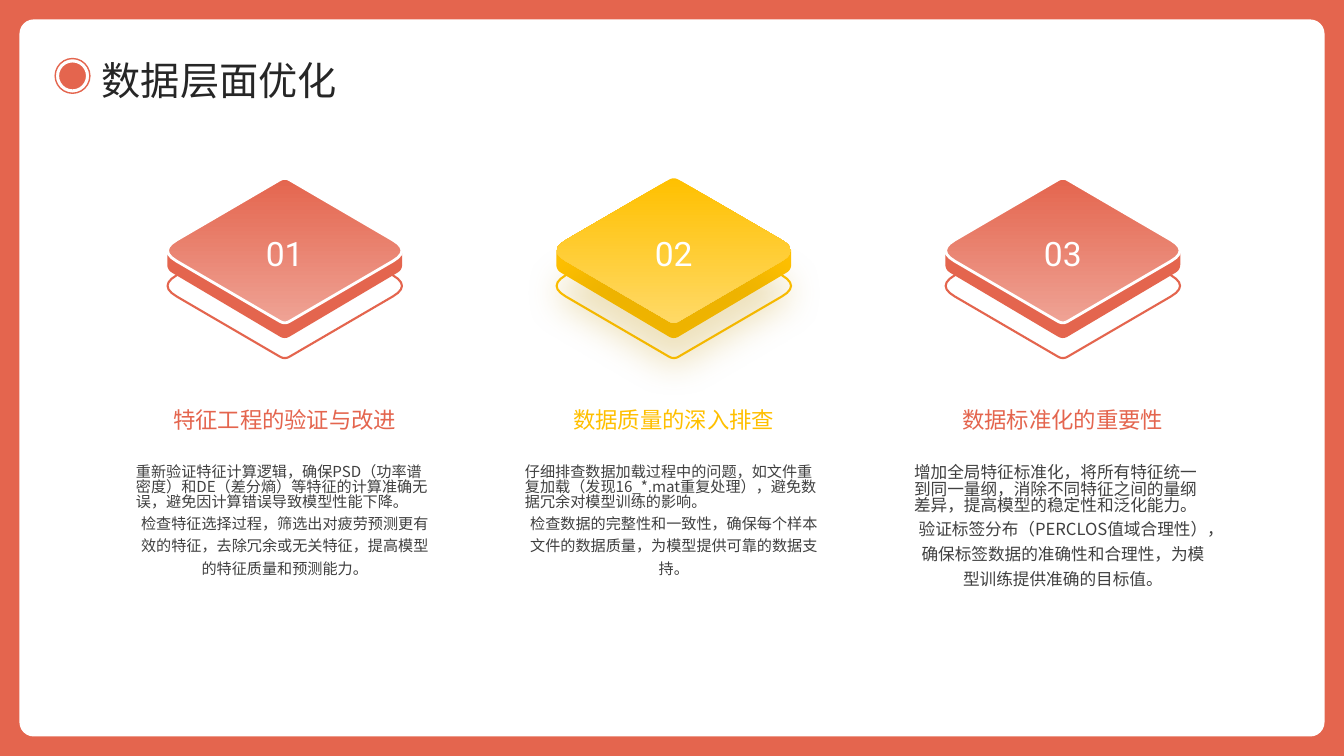
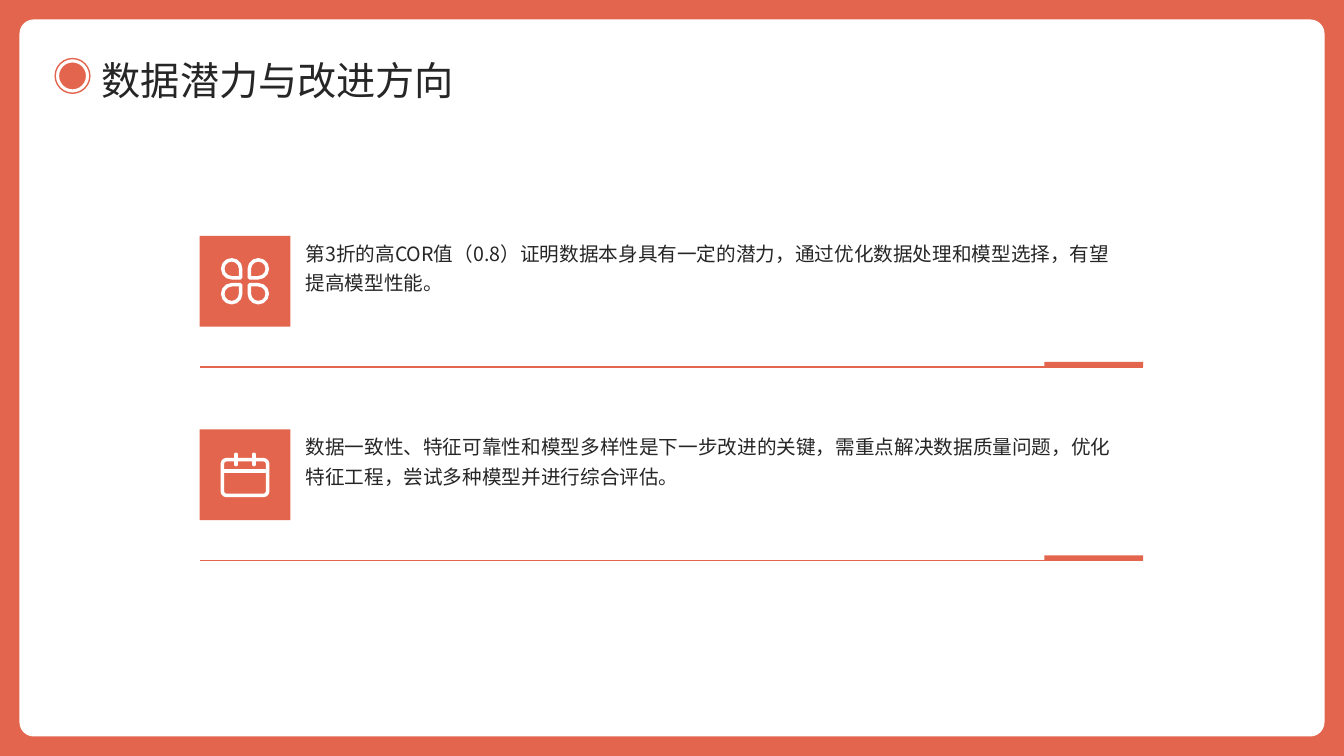
from dataclasses import dataclass

from lxml import etree
from pptx import Presentation
from pptx.dml.color import RGBColor
from pptx.enum.shapes import MSO_CONNECTOR, MSO_SHAPE
from pptx.enum.text import MSO_ANCHOR, MSO_AUTO_SIZE, PP_ALIGN
from pptx.oxml.ns import qn
from pptx.util import Pt

RECT, ROUND, OVAL, TEAR = (
    MSO_SHAPE.RECTANGLE, MSO_SHAPE.ROUNDED_RECTANGLE, MSO_SHAPE.OVAL, MSO_SHAPE.TEAR)
STRAIGHT = MSO_CONNECTOR.STRAIGHT
LEFT, CENTER = PP_ALIGN.LEFT, PP_ALIGN.CENTER
TOP, MIDDLE = MSO_ANCHOR.TOP, MSO_ANCHOR.MIDDLE


@dataclass(frozen=True)
class Theme:
    coral: str = "E4654E"
    coral_light: str = "EFA395"
    gold: str = "FFC000"
    gold_light: str = "FFD966"
    gold_dark: str = "BF9000"
    white: str = "FFFFFF"
    ink: str = "262626"
    body: str = "404040"
    font: str = "Noto Sans CJK SC"
    number_font: str = "Roboto"
    title_size: float = 28
    number_size: float = 24
    heading_size: float = 16
    point_size: float = 14
    body_size: float = 10.8
    body_large: float = 11.9


T = Theme()
WIDTH, HEIGHT, FRAME = 960, 540, 14.4

LAYERS_TITLE = "数据层面优化"
LAYERS = [
    ("01", "特征工程的验证与改进", T.body_size, T.coral, T.coral_light, False,
     "重新验证特征计算逻辑，确保PSD（功率谱密度）和DE（差分熵）等特征的计算准确无误，避免因计算错误导致模型性能下降。",
     "检查特征选择过程，筛选出对疲劳预测更有效的特征，去除冗余或无关特征，提高模型的特征质量和预测能力。"),
    ("02", "数据质量的深入排查", T.body_size, T.gold, T.gold_light, True,
     "仔细排查数据加载过程中的问题，如文件重复加载（发现16_*.mat重复处理），避免数据冗余对模型训练的影响。",
     "检查数据的完整性和一致性，确保每个样本文件的数据质量，为模型提供可靠的数据支持。"),
    ("03", "数据标准化的重要性", T.body_large, T.coral, T.coral_light, False,
     "增加全局特征标准化，将所有特征统一到同一量纲，消除不同特征之间的量纲差异，提高模型的稳定性和泛化能力。",
     "验证标签分布（PERCLOS值域合理性），确保标签数据的准确性和合理性，为模型训练提供准确的目标值。"),
]
OUTLOOK_TITLE = "数据潜力与改进方向"
OUTLOOK = [
    ("clover", "第3折的高COR值（0.8）证明数据本身具有一定的潜力，通过优化数据处理和模型选择，有望提高模型性能。"),
    ("calendar", "数据一致性、特征可靠性和模型多样性是下一步改进的关键，需重点解决数据质量问题，优化特征工程，尝试多种模型并进行综合评估。"),
]

DIAMOND = [(0, -52.6, 4), (90.2, 0, 15), (0, 52.6, 4), (-90.2, 0, 15)]
SLAB = [(0, -42, 4), (71.6, -0.4, 0), (83.9, -0.4, 0), (83.9, 13.8, 4),
        (0, 63.5, 4), (-83.9, 13.8, 4), (-83.9, -0.4, 0), (-71.6, -0.4, 0)]


def rgb(value):
    return RGBColor.from_string(value)


def paint(shape, fill=None, line=None, width=1):
    shape.shadow.inherit = False
    if fill:
        shape.fill.solid()
        shape.fill.fore_color.rgb = rgb(fill)
    else:
        shape.fill.background()
    if line:
        shape.line.color.rgb = rgb(line)
        shape.line.width = Pt(width)
    else:
        shape.line.fill.background()
    return shape


def add_box(shapes, kind, x, y, w, h, **style):
    return paint(shapes.add_shape(kind, Pt(x), Pt(y), Pt(w), Pt(h)), **style)


def add_centered(shapes, kind, cx, cy, w, h, **style):
    return add_box(shapes, kind, cx - w / 2, cy - h / 2, w, h, **style)


def add_line(shapes, x1, y1, x2, y2, color, width):
    line = shapes.add_connector(STRAIGHT, Pt(x1), Pt(y1), Pt(x2), Pt(y2))
    line.line.color.rgb = rgb(color)
    line.line.width = Pt(width)
    etree.SubElement(line._element.spPr, qn("a:effectLst"))
    return line


def write(frame, paragraphs, size, color, anchor=TOP, font=T.font, inset=True):
    frame.word_wrap = True
    frame.auto_size = MSO_AUTO_SIZE.NONE
    frame.vertical_anchor = anchor
    if not inset:
        frame.margin_left = frame.margin_right = frame.margin_top = frame.margin_bottom = 0
    for index, (text, align, spacing) in enumerate(paragraphs):
        p = frame.add_paragraph() if index else frame.paragraphs[0]
        p.text = text
        p.alignment, p.line_spacing = align, spacing
        p.font.size = Pt(size)
        p.font.color.rgb = rgb(color)
        p.font.name = font
        defaults = p._p.get_or_add_pPr().get_or_add_defRPr()
        etree.SubElement(defaults, qn("a:ea"), typeface=font)


def add_text(shapes, x, y, w, h, *content, **style):
    write(shapes.add_textbox(Pt(x), Pt(y), Pt(w), Pt(h)).text_frame, *content, **style)


def rounded(corners, steps=6):
    points = []
    for i, (x, y, cut) in enumerate(corners):
        ends = []
        for nx, ny, _ in (corners[i - 1], corners[(i + 1) % len(corners)]):
            share = cut / ((nx - x) ** 2 + (ny - y) ** 2) ** 0.5
            ends.append((x + (nx - x) * share, y + (ny - y) * share))
        (ax, ay), (bx, by) = ends
        for k in range(steps + 1 if cut else 1):
            t = k / steps
            points.append(((1 - t) ** 2 * ax + 2 * t * (1 - t) * x + t * t * bx,
                           (1 - t) ** 2 * ay + 2 * t * (1 - t) * y + t * t * by))
    return points


def add_outline(shapes, corners, cx, cy, **style):
    points = [(Pt(cx + x), Pt(cy + y)) for x, y in rounded(corners)]
    builder = shapes.build_freeform(*points[0])
    builder.add_line_segments(points[1:], close=True)
    return paint(builder.convert_to_shape(), **style)


def add_glow(shape, color):
    effects = shape._element.spPr.find(qn("a:effectLst"))
    shadow = etree.SubElement(effects, qn("a:outerShdw"), blurRad=str(Pt(26)),
                              dist=str(Pt(30)), dir="5400000", algn="t", rotWithShape="0")
    tint = etree.SubElement(shadow, qn("a:srgbClr"), val=color)
    etree.SubElement(tint, qn("a:alpha"), val="25000")


def add_stack(shapes, cx, cy, number, color, light, glowing):
    add_outline(shapes, DIAMOND, cx, cy + 25.2, line=color, width=1.5)
    add_outline(shapes, SLAB, cx, cy, fill=color)
    top = add_outline(shapes, DIAMOND, cx, cy, line=None if glowing else T.white, width=2)
    top.fill.gradient()
    top.fill.gradient_angle = 270
    for stop, shade in zip(top.fill.gradient_stops, (color, light)):
        stop.color.rgb = rgb(shade)
    if glowing:
        add_glow(top, T.gold_dark)
    add_text(shapes, cx - 22.7, cy - 22.7, 45.4, 39.6, [(number, CENTER, 1.3)],
             T.number_size, T.white, anchor=MIDDLE, font=T.number_font, inset=False)


def add_clover(shapes, cx, cy):
    for turn, (sx, sy) in enumerate([(-1, 1), (-1, -1), (1, -1), (1, 1)]):
        petal = add_centered(shapes, TEAR, cx + 9.5 * sx, cy + 8.9 * sy, 12.8, 12.8,
                             line=T.white, width=2.5)
        petal.rotation = 90 * turn


def add_calendar(shapes, cx, cy):
    page = add_centered(shapes, ROUND, cx, cy + 2, 32.4, 25.6, line=T.white, width=2.5)
    page.adjustments[0] = 0.12
    add_line(shapes, cx - 16.2, cy - 2.5, cx + 16.2, cy - 2.5, T.white, 2.5)
    for side in (-6.3, 6.3):
        ring = add_line(shapes, cx + side, cy - 14.6, cx + side, cy - 7.2, T.white, 2.5)
        ring.line._get_or_add_ln().set("cap", "rnd")


ICONS = {"clover": add_clover, "calendar": add_calendar}


def add_slide(prs, heading):
    slide = prs.slides.add_slide(prs.slide_layouts[5])
    shapes = slide.shapes
    title = shapes.title
    add_box(shapes, RECT, 0, 0, WIDTH, HEIGHT, fill=T.coral)
    card = add_box(shapes, ROUND, FRAME, FRAME, WIDTH - 2 * FRAME, HEIGHT - 2 * FRAME,
                   fill=T.white, line=T.white)
    card.adjustments[0] = 0.019
    shapes._spTree.append(title._element)
    title.left, title.top, title.width, title.height = Pt(72.7), Pt(36.7), Pt(855.4), Pt(36.7)
    write(title.text_frame, [(heading, LEFT, 1.1)], T.title_size, T.ink,
          anchor=MIDDLE, inset=False)
    marker = shapes.add_group_shape().shapes
    for size, fill, line in ((24.8, T.white, T.coral), (20.2, T.coral, T.white)):
        add_centered(marker, OVAL, 51.8, 54.2, size, size, fill=fill, line=line)
    return shapes


def build_layers(prs):
    shapes = add_slide(prs, LAYERS_TITLE)
    first_center, step, width = 203.4, 277.9, 226.8
    for i, (number, heading, size, color, light, glowing, check, follow_up) in enumerate(LAYERS):
        cx = first_center + i * step
        left = cx - width / 2
        add_stack(shapes, cx, 179, number, color, light, glowing)
        add_text(shapes, left, 272.2, width, 51.1, [(heading, CENTER, 1.2)],
                 T.heading_size, color, anchor=MIDDLE)
        add_text(shapes, left, 329, width, 128.9,
                 [(check, LEFT, 0.82), (follow_up, CENTER, 1.23)], size, T.body)


def build_outlook(prs):
    shapes = add_slide(prs, OUTLOOK_TITLE)
    left, right, tile, accent = 142.6, 816.5, 64.8, 70.6
    for i, (icon, point) in enumerate(OUTLOOK):
        top = 168.5 + i * 138.2
        rule = top + 93.6
        add_box(shapes, RECT, left, top, tile, tile, fill=T.coral)
        ICONS[icon](shapes, left + tile / 2, top + tile / 2)
        add_text(shapes, 218.2, top, 579.6, 82, [(point, LEFT, 1.25)],
                 T.point_size, T.ink, inset=False)
        add_line(shapes, left, rule, right, rule, T.coral, 1)
        add_box(shapes, RECT, right - accent, rule - 3.6, accent, 3.6, fill=T.coral)


def main():
    prs = Presentation()
    prs.slide_width, prs.slide_height = Pt(WIDTH), Pt(HEIGHT)
    build_layers(prs)
    build_outlook(prs)
    prs.save("out.pptx")


if __name__ == "__main__":
    main()
